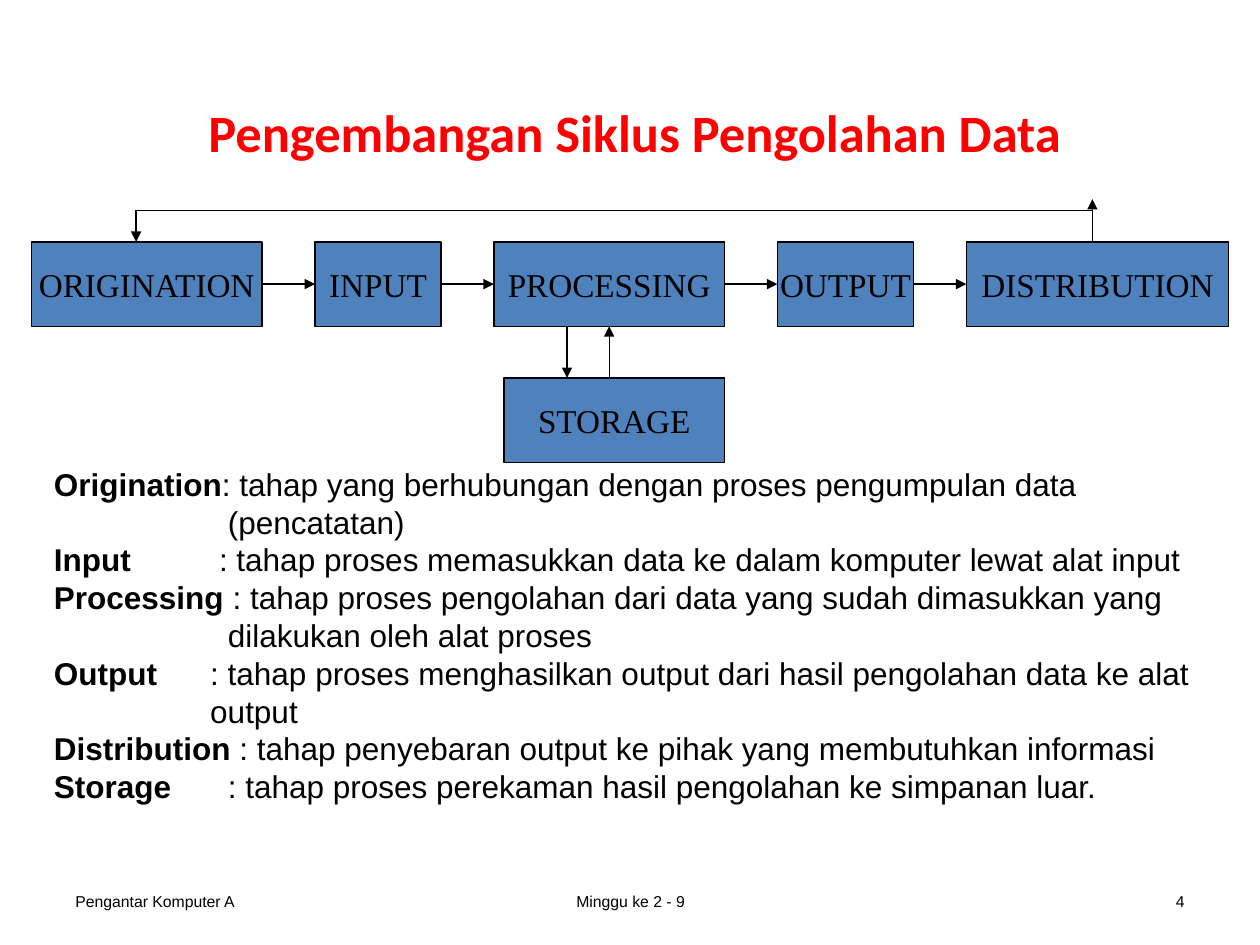
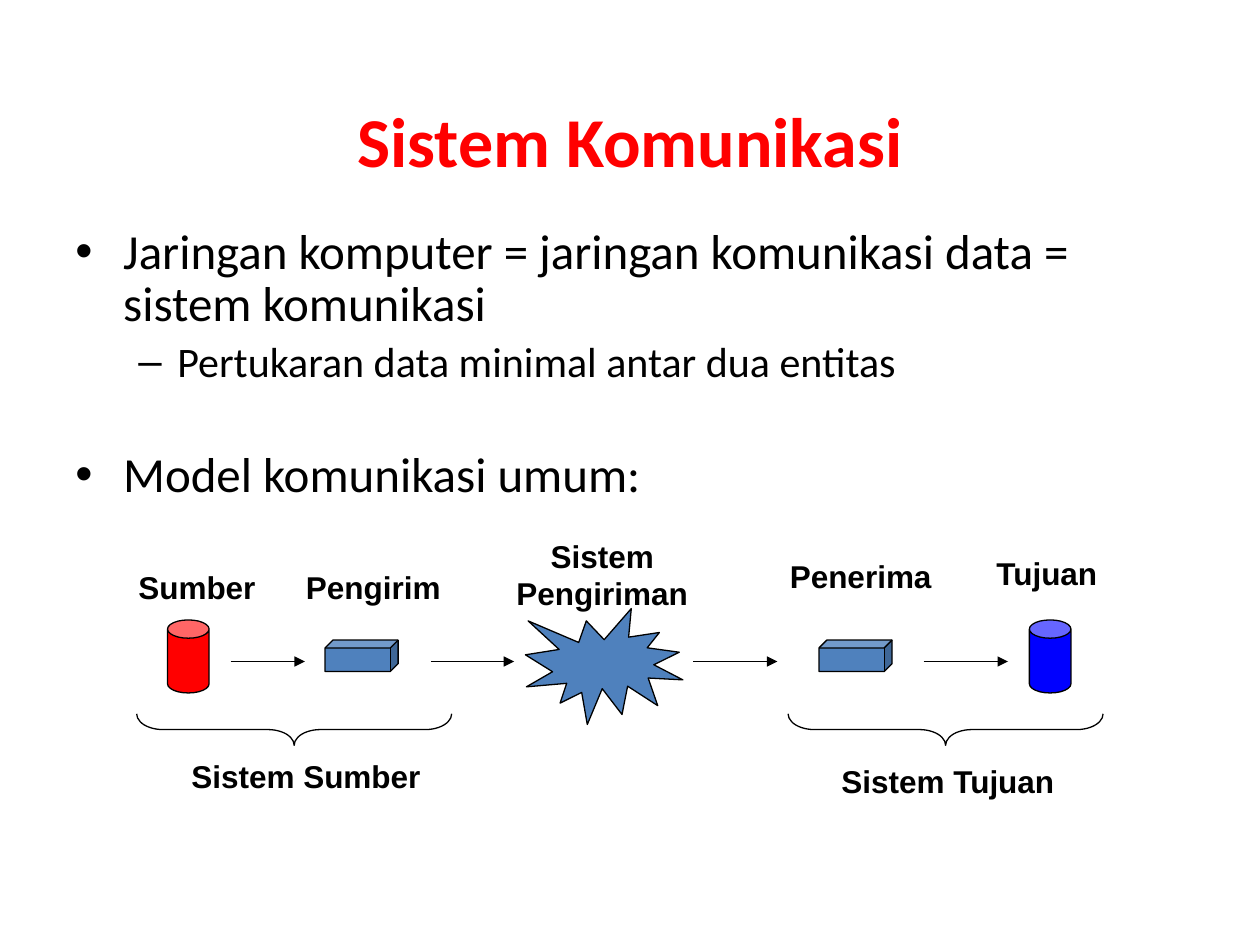
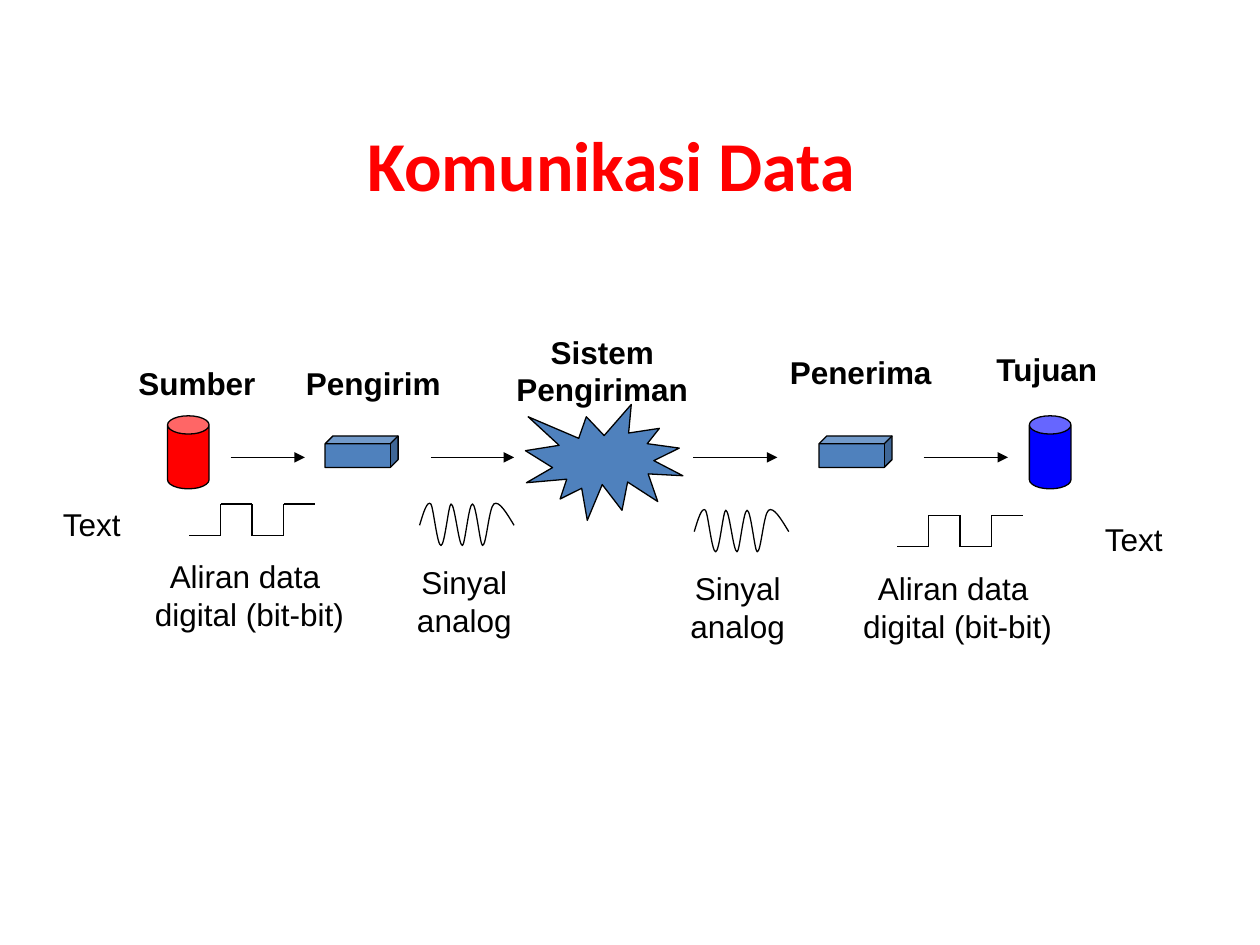
"""Build three slides on the data processing cycle and data communication."""
from lxml import etree
from pptx import Presentation
from pptx.dml.color import RGBColor
from pptx.enum.shapes import MSO_CONNECTOR, MSO_SHAPE
from pptx.enum.text import MSO_ANCHOR, MSO_AUTO_SIZE, PP_ALIGN
from pptx.oxml.ns import qn
from pptx.util import Inches, Pt

BLACK = RGBColor(0x00, 0x00, 0x00)
RED = RGBColor(0xFF, 0x00, 0x00)
BLUE = RGBColor(0x00, 0x00, 0xFF)
STEEL = RGBColor(0x4F, 0x81, 0xBD)
LEFT, MID, RIGHT = PP_ALIGN.LEFT, PP_ALIGN.CENTER, PP_ALIGN.RIGHT
TOP, CENTER = MSO_ANCHOR.TOP, MSO_ANCHOR.MIDDLE
RECT, CAN, CUBE = MSO_SHAPE.RECTANGLE, MSO_SHAPE.CAN, MSO_SHAPE.CUBE
BRACE, BURST = MSO_SHAPE.LEFT_BRACE, MSO_SHAPE.EXPLOSION1
STRAIGHT = MSO_CONNECTOR.STRAIGHT
FIT = MSO_AUTO_SIZE.SHAPE_TO_FIT_TEXT
EDGE = Pt(0.75)

BASE = {"name": "Arial", "size": Pt(18), "bold": False}
BOLD = {"bold": True}
HEAD = {"name": "Calibri", "size": Pt(40), "bold": True}
NODE = {"name": "Times New Roman", "size": Pt(19)}
FOOT = {"size": Pt(9)}


def put(slide, box, lines=(), font=BASE, color=BLACK, align=LEFT,
        anchor=TOP, wrap=False, kind=None, fill=None):
    """Add a text box, or a preset shape when kind is given."""
    box = [Inches(v) for v in box]
    if kind is None:
        shape = slide.shapes.add_textbox(*box)
    else:
        shape = slide.shapes.add_shape(kind, *box)
        shape.shadow.inherit = False
        shape.line.color.rgb = BLACK
        shape.line.width = EDGE
        if fill is None:
            shape.fill.background()
        else:
            shape.fill.solid()
            shape.fill.fore_color.rgb = fill
    frame = shape.text_frame
    frame.word_wrap = wrap
    frame.vertical_anchor = anchor
    if kind is None and not wrap:
        frame.auto_size = FIT
    for i, text in enumerate(lines):
        para = frame.add_paragraph() if i else frame.paragraphs[0]
        para.alignment = align
        run = para.add_run()
        run.text = text
        run.font.color.rgb = color
        for key, value in {**BASE, **font}.items():
            setattr(run.font, key, value)
    return shape


def link(slide, start, end, arrow=True):
    """Add a thin black line, with an arrowhead at its end if asked."""
    line = slide.shapes.add_connector(
        STRAIGHT, *[Inches(v) for v in (*start, *end)])
    line.line.color.rgb = BLACK
    line.line.width = EDGE
    props = line._element.spPr
    if arrow:
        etree.SubElement(props.find(qn("a:ln")), qn("a:tailEnd"), type="triangle")
    etree.SubElement(props, qn("a:effectLst"))
    return line


deck = Presentation()
deck.slide_width, deck.slide_height = Inches(10), Inches(7.5)
blank = deck.slide_layouts[6]

slides = []
for text, box, size in (
    ("Pengembangan Siklus Pengolahan Data", (0.33, 0.67, 9.42, 1.25), 30),
    ("Sistem Komunikasi", (0.5, 0.67, 9, 0.88), 40),
    ("Komunikasi Data", (0.35, 0.67, 9, 1.25), 40),
):
    slide = deck.slides.add_slide(blank)
    title = put(slide, box, [text], {**HEAD, "size": Pt(size)}, RED, MID, CENTER, True)
    slides.append(slide)
    if len(slides) == 1:
        title.text_frame.margin_bottom = Inches(0.55)
cycle, system, data = slides

for text, x, w, align in (
    ("Pengantar Komputer A", 0.5, 2.33, LEFT),
    ("Minggu ke 2 - 9", 3.42, 3.17, MID),
    ("4", 7.17, 2.33, RIGHT),
):
    put(cycle, (x, 6.95, w, 0.4), [text], FOOT, align=align, anchor=CENTER, wrap=True)

nodes = []
for text, x, y, w in (
    ("ORIGINATION", 0.25, 1.92, 1.83),
    ("INPUT", 2.5, 1.92, 1),
    ("PROCESSING", 3.92, 1.92, 1.83),
    ("OUTPUT", 6.17, 1.92, 1.08),
    ("DISTRIBUTION", 7.67, 1.92, 2.08),
    ("STORAGE", 4, 3, 1.75),
):
    nodes.append(put(cycle, (x, y, w, 0.67), [text], NODE, align=MID,
                     anchor=CENTER, kind=RECT, fill=STEEL))
for one, two in zip(nodes[:4], nodes[1:5]):
    line = link(cycle, (0, 0), (1, 1))
    line.begin_connect(one, 3)
    line.end_connect(two, 1)
link(cycle, (4.5, 2.59), (4.5, 3))
rise = link(cycle, (4.83, 3), (4.83, 2.59))
rise.end_connect(nodes[2], 2)
rise.begin_x = rise.end_x
link(cycle, (8.67, 1.92), (8.67, 1.58))
link(cycle, (1.08, 1.67), (8.67, 1.67), False)
link(cycle, (1.08, 1.67), (1.08, 1.92))

terms = (
    ("Origination", 1.38,
     ": tahap yang berhubungan dengan proses pengumpulan data (pencatatan)"),
    ("Input", 1.31, "\t: tahap proses memasukkan data ke dalam komputer lewat alat input"),
    ("Processing ", 1.38, ": tahap proses pengolahan dari data yang sudah dimasukkan yang "
                          "dilakukan oleh alat proses"),
    ("Output", 1.24,
     "\t: tahap proses menghasilkan output dari hasil pengolahan data ke alat output"),
    ("Distribution ", 1.38, ": tahap penyebaran output ke pihak yang membutuhkan informasi"),
    ("Storage", 1.38, "\t: tahap proses perekaman hasil pengolahan ke simpanan luar."),
)
notes = put(cycle, (0.33, 3.64, 9.42, 2.83), [term[0] for term in terms], BOLD, wrap=True)
for para, (_, left, text) in zip(notes.text_frame.paragraphs, terms):
    props = para._p.get_or_add_pPr()
    props.set("marL", str(Inches(left)))
    props.set("indent", str(-Inches(left)))
    run = para.add_run()
    run.text = text
    run.font.color.rgb = BLACK
    for key, value in BASE.items():
        setattr(run.font, key, value)

points = (
    ("Jaringan komputer = jaringan komunikasi data = sistem komunikasi", 0, 0),
    ("Pertukaran data minimal antar dua entitas", 1, 4.8),
    ("Model komunikasi umum:", 0, 36.5),
)
levels = (("•", 0.38, 0.38, 28), ("–", 0.81, 0.31, 24))
body = put(system, (0.5, 1.75, 9, 2.5), [point[0] for point in points],
           {"name": "Calibri"}, wrap=True)
for para, (_, level, gap) in zip(body.text_frame.paragraphs, points):
    mark, left, hang, size = levels[level]
    props = para._p.get_or_add_pPr()
    props.set("marL", str(Inches(left)))
    props.set("indent", str(-Inches(hang)))
    etree.SubElement(props, qn("a:buFont"), typeface="Arial")
    etree.SubElement(props, qn("a:buChar"), char=mark)
    para.level = level
    para.line_spacing = 0.9
    para.space_before = Pt(gap)
    para.runs[0].font.size = Pt(size)

for slide, axis in ((system, 5.25), (data, 3.63)):
    for x, fill in ((1.33, RED), (8.17, BLUE)):
        can = put(slide, (x, axis - 0.33, 0.33, 0.58), kind=CAN, fill=fill)
        can.adjustments[0] = 0.44
    for x in (2.58, 6.5):
        put(slide, (x, axis - 0.17, 0.58, 0.25), kind=CUBE, fill=STEEL)
    for x, end in ((1.83, 2.42), (3.42, 4.08), (5.5, 6.17), (7.33, 8)):
        link(slide, (x, axis), (end, axis))
    for lines, x, lift, w, h, align in (
        (["Sumber"], 1, 0.79, 1.13, 0.4, LEFT),
        (["Pengirim"], 2.33, 0.79, 1.27, 0.4, LEFT),
        (["Sistem", "Pengiriman"], 4, 1.04, 1.56, 0.7, MID),
        (["Penerima"], 6.17, 0.88, 1.33, 0.4, LEFT),
        (["Tujuan"], 7.81, 0.9, 1.02, 0.4, LEFT),
    ):
        put(slide, (x, axis - lift, w, h), lines, BOLD, align=align)
    put(slide, (4.17, axis - 0.42, 1.25, 0.92), kind=BURST, fill=STEEL)

for text, x, y, w, mid in (
    ("Sistem Sumber", 1.42, 5.96, 2.02, 2.21),
    ("Sistem Tujuan", 6.58, 6, 1.91, 7.38),
):
    brace = put(system, (mid, 4.54, 0.25, 2.5), kind=BRACE)
    brace.adjustments[0] = 0.83
    brace.rotation = 270
    put(system, (x, y, w, 0.4), [text], BOLD)

for x, y in ((0.4, 3.96), (8.67, 4.08)):
    put(data, (x, y, 0.69, 0.4), ["Text"])

steps = ((0, 1), (1, 1), (1, 0), (2, 0), (2, 1), (3, 1), (3, 0), (4, 0))
for x, y, left, top in ((1.5, 4, 1.13, 4.37), (7.12, 4.09, 6.75, 4.47)):
    dots = [(x + col / 4, y + row / 4) for col, row in steps]
    for start, end in zip(dots, dots[1:]):
        link(data, start, end, False)
    put(data, (left, top, 1.7, 0.7), ["Aliran data ", "digital (bit-bit)"], align=MID)

wave = (
    (0.03, 0.1), (0.06, 0), (0.09, 0.03),
    (0.11, 0.06), (0.14, 0.36), (0.17, 0.36),
    (0.2, 0.36), (0.23, 0.03), (0.25, 0.03),
    (0.28, 0.03), (0.31, 0.36), (0.34, 0.36),
    (0.36, 0.36), (0.39, 0.03), (0.42, 0.03),
    (0.45, 0.03), (0.48, 0.36), (0.5, 0.36),
    (0.53, 0.36), (0.55, 0.06), (0.59, 0.03),
    (0.63, 0), (0.69, 0.1), (0.75, 0.2),
)
for x, y, left, top in ((3.33, 3.97, 3.21, 4.42), (5.51, 4.02, 5.38, 4.47)):
    pen = data.shapes.build_freeform(Inches(x), Inches(y + 0.2))
    pen.add_line_segments([(Inches(x + a), Inches(y + b)) for a, b in wave], close=False)
    sine = pen.convert_to_shape()
    sine.shadow.inherit = False
    sine.fill.background()
    sine.line.color.rgb = BLACK
    sine.line.width = EDGE
    trail = next(sine._element.iter(qn("a:path")))
    legs = trail.findall(qn("a:lnTo"))
    for i in range(0, len(legs), 3):
        bend = etree.SubElement(trail, qn("a:cubicBezTo"))
        for leg in legs[i:i + 3]:
            bend.append(leg[0])
            trail.remove(leg)
    put(data, (left, top, 0.95, 0.7), ["Sinyal", "analog"], align=MID)

deck.save("out.pptx")
